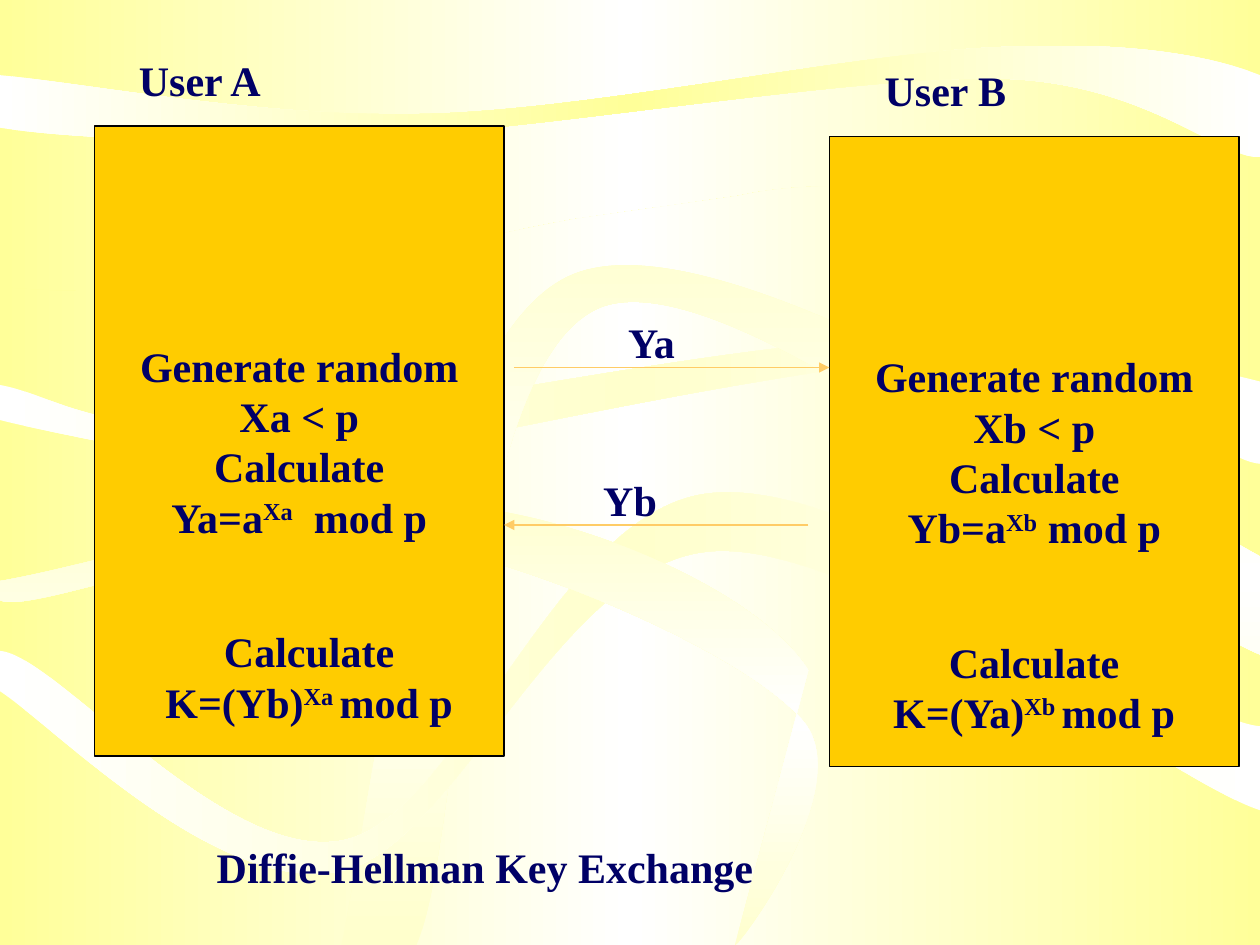
from copy import deepcopy
from dataclasses import dataclass

from lxml import etree
from pptx import Presentation
from pptx import util as u
from pptx.dml.color import RGBColor
from pptx.enum import shapes, text
from pptx.oxml.ns import qn


@dataclass(frozen=True)
class Theme:
    font: str = "Times New Roman"
    size: int = 24
    ink: str = "000066"
    panel: str = "FFCC00"
    outline: str = "000000"
    arrow: str = "FFCC66"
    yellow: str = "FFFF99"
    cream: str = "FFFFCC"
    white: str = "FFFFFF"
    line: float = 0.75


T = Theme()
W, H = 720, 540

# Background ribbons: edge colour, middle colour, angle, start point, then
# segments: two numbers for a straight line, six for a Bezier curve
RIBBONS = [
    (T.yellow, T.white, 0, (0, 164), [
        (128, 176, 245, 140, 330, 125), (330, 125, 408, 114, 422, 112),
        (515, 91, 660, 136, 720, 136), (720, 540), (0, 540)]),
    (T.white, T.yellow, 0, (0, 43), [
        (0, 73), (37, 79, 127, 83, 222, 78), (317, 73, 489, 43, 572, 45),
        (654, 47, 696, 90, 720, 90), (720, 43), (695, 33, 649, 23, 570, 27),
        (491, 30, 343, 62, 248, 65), (153, 68, 52, 48, 0, 43)]),
    (T.white, T.cream, 0, (0, 220), [
        (0, 240), (27, 247, 126, 266, 160, 270), (194, 274, 137, 273, 203, 262),
        (270, 251, 475, 203, 562, 204), (648, 204, 693, 263, 720, 265),
        (720, 218), (684, 209, 602, 189, 505, 194),
        (408, 197, 221, 239, 137, 243), (53, 248, 29, 225, 0, 220)]),
    (T.cream, T.white, 90, (195, 540), [
        (210, 476, 239, 194, 327, 157), (414, 120, 654, 282, 720, 318),
        (720, 374), (657, 349, 426, 148, 345, 175),
        (265, 203, 264, 480, 238, 540), (195, 540)]),
    (T.white, T.cream, 0, (0, 372), [
        (0, 395), (32, 416, 125, 512, 194, 498), (261, 485, 319, 321, 407, 315),
        (495, 309, 667, 446, 720, 463), (720, 415),
        (675, 412, 498, 271, 405, 282), (318, 292, 264, 465, 197, 480),
        (129, 495, 32, 374, 0, 372)]),
    (T.cream, T.white, 90, (0, 332), [
        (0, 343), (19, 352, 150, 297, 226, 308), (302, 320, 426, 373, 459, 412),
        (491, 450, 419, 545, 420, 540), (462, 383),
        (436, 341, 341, 297, 264, 289), (186, 280, 55, 323, 0, 332)]),
]


def rgb(color):
    return RGBColor.from_string(color)


def fill_gradient(fill, element, edge, middle, angle):
    """Three stops: edge, middle, edge."""
    fill.gradient()
    fill.gradient_angle = angle
    stops = element.find(".//" + qn("a:gsLst"))
    stops.insert(1, deepcopy(stops[0]))
    for stop, pos, color in zip(fill.gradient_stops, (0, 0.5, 1),
                                (edge, middle, edge)):
        stop.position = pos
        stop.color.rgb = rgb(color)


def bend(sp, segments):
    """Join each three lines that stand for a curve into one Bezier."""
    lines = iter(sp.element.findall(".//" + qn("a:lnTo")))
    for seg in segments:
        first = next(lines)
        if len(seg) == 6:
            first.tag = qn("a:cubicBezTo")
            for _ in range(2):
                extra = next(lines)
                first.append(extra[0])
                extra.getparent().remove(extra)


def add_ribbon(s, edge, middle, angle, start, segments):
    points = [(u.Pt(x), u.Pt(y)) for seg in segments
              for x, y in zip(seg[::2], seg[1::2])]
    builder = s.shapes.build_freeform(u.Pt(start[0]), u.Pt(start[1]))
    builder.add_line_segments(points, close=True)
    sp = builder.convert_to_shape()
    bend(sp, segments)
    sp.shadow.inherit = False
    sp.line.fill.background()
    fill_gradient(sp.fill, sp.element, edge, middle, angle)


def write(tf, lines):
    """Each line is a string, or a (base, superscript, rest) tuple."""
    tf.word_wrap = False
    for i, line in enumerate(lines):
        p = tf.paragraphs[0] if i == 0 else tf.add_paragraph()
        p.alignment = text.PP_ALIGN.CENTER
        p.font.name, p.font.size, p.font.bold = T.font, u.Pt(T.size), True
        p.font.color.rgb = rgb(T.ink)
        parts = (line,) if isinstance(line, str) else line
        for j, part in enumerate(parts):
            r = p.add_run()
            r.text = part
            if j == 1:
                r.font._element.set("baseline", "30000")


def add_panel(s, x, y, lines):
    sp = s.shapes.add_shape(shapes.MSO_SHAPE.RECTANGLE,
                            u.Pt(x), u.Pt(y), u.Pt(234), u.Pt(360))
    sp.shadow.inherit = False
    sp.fill.solid()
    sp.fill.fore_color.rgb = rgb(T.panel)
    sp.line.color.rgb = rgb(T.outline)
    sp.line.width = u.Pt(T.line)
    sp.text_frame.vertical_anchor = text.MSO_ANCHOR.MIDDLE
    write(sp.text_frame, lines)


def add_label(s, x, y, w, *lines):
    height = 7.2 + 28.8 * len(lines)
    tf = s.shapes.add_textbox(u.Pt(x), u.Pt(y), u.Pt(w), u.Pt(height)).text_frame
    write(tf, lines)
    tf.auto_size = text.MSO_AUTO_SIZE.SHAPE_TO_FIT_TEXT


def add_arrow(s, x1, x2, y):
    c = s.shapes.add_connector(shapes.MSO_CONNECTOR.STRAIGHT,
                               u.Pt(x1), u.Pt(y), u.Pt(x2), u.Pt(y))
    c.line.color.rgb = rgb(T.arrow)
    c.line.width = u.Pt(T.line)
    ln = c.element.spPr.find(qn("a:ln"))
    etree.SubElement(ln, qn("a:tailEnd"), type="triangle")
    etree.SubElement(c.element.spPr, qn("a:effectLst"))


def main():
    prs = Presentation()
    prs.slide_width, prs.slide_height = u.Pt(W), u.Pt(H)
    s = prs.slides.add_slide(prs.slide_layouts[6])

    # Background
    fill_gradient(s.background.fill, s.element, T.yellow, T.white, 0)
    for ribbon in RIBBONS:
        add_ribbon(s, *ribbon)

    # Users' panels
    for x, y, user, gap in ((54, 72, "a", "  "), (474, 78, "b", " ")):
        add_panel(s, x, y, ["Generate random", f"X{user} < p", "Calculate",
                            (f"Y{user}=a", f"X{user}", f"{gap}mod p")])
    add_label(s, 71.3, 27.4, 85.7, "User A")
    add_label(s, 498.2, 33.4, 84.2, "User B")

    # Exchanged public keys
    add_arrow(s, 294, 474, 210)
    add_label(s, 350.3, 177.4, 43.9, "Ya")
    add_arrow(s, 462, 288, 300)
    add_label(s, 337, 267.4, 46, "Yb")

    # Shared key
    add_label(s, 87.3, 354, 178.6, "Calculate", ("K=(Yb)", "Xa ", "mod p"))
    add_label(s, 502, 360, 177.8, "Calculate", ("K=(Ya)", "Xb ", "mod p"))

    # Caption
    add_label(s, 116.6, 477.4, 321.1, "Diffie-Hellman Key Exchange")

    prs.save("out.pptx")


if __name__ == "__main__":
    main()
